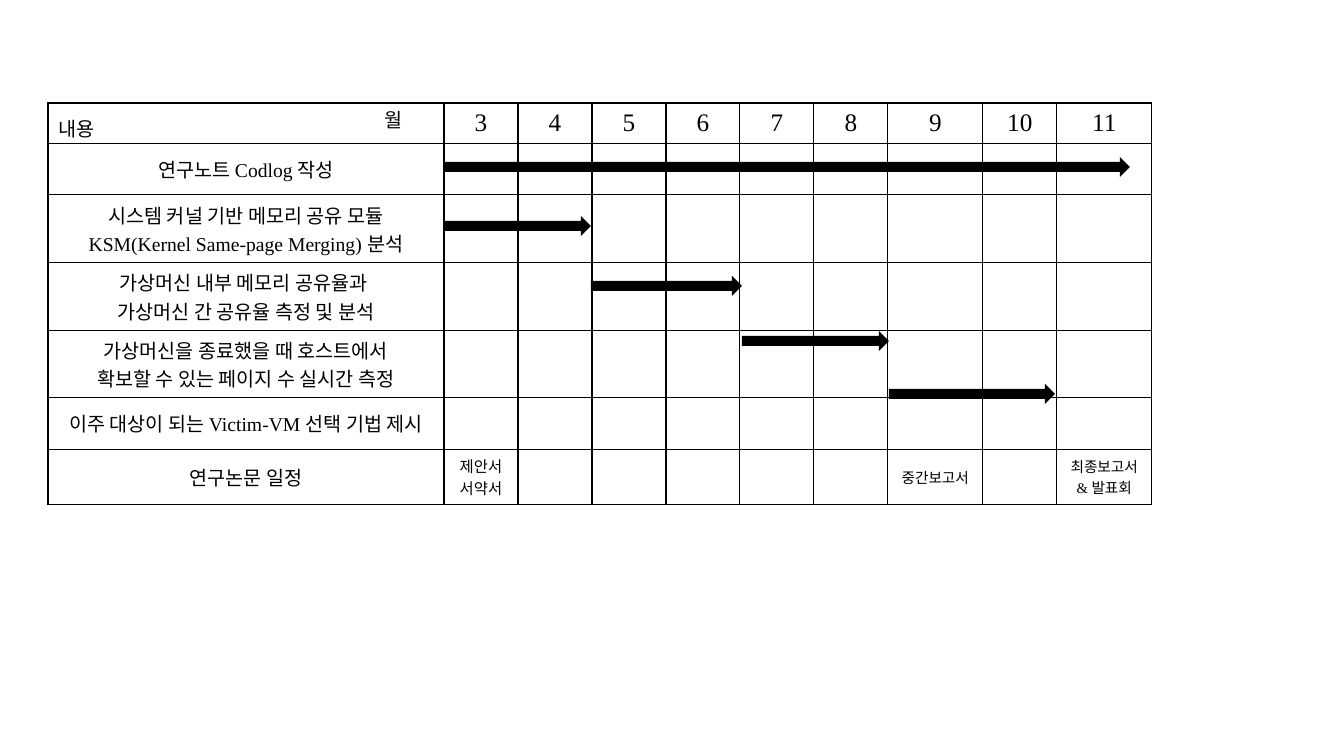
from copy import deepcopy

from lxml import etree
from pptx import Presentation
from pptx.dml.color import RGBColor
from pptx.enum.shapes import MSO_SHAPE
from pptx.enum.text import MSO_ANCHOR, PP_ALIGN
from pptx.oxml.ns import qn
from pptx.util import Pt

EMU_PER_PX = 914400 / 100.8
BLACK = RGBColor(0, 0, 0)
LATIN_FONT = "Times New Roman"
KOREAN_FONT = "Noto Sans CJK KR"
CENTER = PP_ALIGN.CENTER
MIDDLE = MSO_ANCHOR.MIDDLE
RIGHT_ARROW = MSO_SHAPE.RIGHT_ARROW

TABLE_LEFT, TABLE_TOP = 48, 103
COLUMN_WIDTHS = [396] + [74] * 6 + [95, 74, 95]
ROW_HEIGHTS = [38, 51, 68, 67, 67, 52, 55]
FIRST_MONTH, LAST_MONTH = 3, 11
TASKS = [
    "연구노트 Codlog 작성",
    "시스템 커널 기반 메모리 공유 모듈\nKSM(Kernel Same-page Merging) 분석",
    "가상머신 내부 메모리 공유율과 \n가상머신 간 공유율 측정 및 분석",
    "가상머신을 종료했을 때 호스트에서\n확보할 수 있는 페이지 수 실시간 측정",
    "이주 대상이 되는 Victim-VM 선택 기법 제시",
    "연구논문 일정",
]
# Month: (text, size)
PAPER_MILESTONES = {
    3: ("제안서\n서약서", 11),
    9: ("중간보고서", 10.5),
    11: ("최종보고서\n& 발표회", 10.5),
}
# Left, top, width
TASK_PERIODS = [
    (444, 157, 686),
    (444, 216, 147),
    (591, 276, 151),
    (742, 331, 147),
    (889, 384, 166),
]
ARROW_HEIGHT = 20


def px(length):
    """Turn pixels into EMU."""
    return round(length * EMU_PER_PX)


def write_text(frame, text, size=14, font=LATIN_FONT, color=BLACK, align=CENTER):
    """Write one formatted paragraph; a newline becomes a line break."""
    paragraph = frame.paragraphs[0]
    paragraph.text = text
    paragraph.alignment = align
    for run in paragraph.runs:
        run.font.size = Pt(size)
        run.font.name = font
        run.font.color.rgb = color
        properties = run.font._element
        etree.SubElement(properties, qn("a:ea"), typeface=KOREAN_FONT)
    for line_break in paragraph._p.findall(qn("a:br")):
        line_break.append(deepcopy(properties))


def add_borders(cell, color=BLACK, width=1):
    """Draw a solid line on all four sides of a cell."""
    cell_properties = cell._tc.get_or_add_tcPr()
    for side in ("a:lnL", "a:lnR", "a:lnT", "a:lnB"):
        line = etree.SubElement(cell_properties, qn(side), w=str(Pt(width)))
        fill = etree.SubElement(line, qn("a:solidFill"))
        etree.SubElement(fill, qn("a:srgbClr"), val=str(color))


def add_schedule(slide):
    """Add the table of tasks by month."""
    schedule = slide.shapes.add_table(
        len(ROW_HEIGHTS), len(COLUMN_WIDTHS), px(TABLE_LEFT), px(TABLE_TOP),
        px(sum(COLUMN_WIDTHS)), px(sum(ROW_HEIGHTS))).table
    schedule.first_row = False
    schedule.horz_banding = False
    for column, width in zip(schedule.columns, COLUMN_WIDTHS):
        column.width = px(width)
    for row, height in zip(schedule.rows, ROW_HEIGHTS):
        row.height = px(height)
    for cell in schedule.iter_cells():
        add_borders(cell)
        cell.fill.background()
        cell.vertical_anchor = MIDDLE

    for column, month in enumerate(range(FIRST_MONTH, LAST_MONTH + 1), 1):
        write_text(schedule.cell(0, column).text_frame, str(month), size=18)
    for row, task in enumerate(TASKS, 1):
        write_text(schedule.cell(row, 0).text_frame, task)
    for month, (milestone, size) in PAPER_MILESTONES.items():
        cell = schedule.cell(len(TASKS), month - FIRST_MONTH + 1)
        write_text(cell.text_frame, milestone, size=size)


def add_label(slide, text, left, top, width, height):
    """Add an axis label to the corner cell."""
    label = slide.shapes.add_textbox(px(left), px(top), px(width), px(height))
    label.text_frame.word_wrap = False
    write_text(label.text_frame, text, font=KOREAN_FONT)


def add_period(slide, left, top, width):
    """Add the arrow that spans the months of a task."""
    arrow = slide.shapes.add_shape(
        RIGHT_ARROW, px(left), px(top), px(width), px(ARROW_HEIGHT))
    arrow.shadow.inherit = False
    arrow.fill.solid()
    arrow.fill.fore_color.rgb = BLACK
    arrow.line.fill.background()


def main():
    """Build the schedule slide."""
    deck = Presentation()
    deck.slide_width, deck.slide_height = px(1344), px(756)
    slide = deck.slides.add_slide(deck.slide_layouts[6])
    add_schedule(slide)
    add_label(slide, "내용", 47, 112, 59, 34)
    add_label(slide, "월", 374, 103, 40, 34)
    for period in TASK_PERIODS:
        add_period(slide, *period)
    deck.save("out.pptx")


main()
